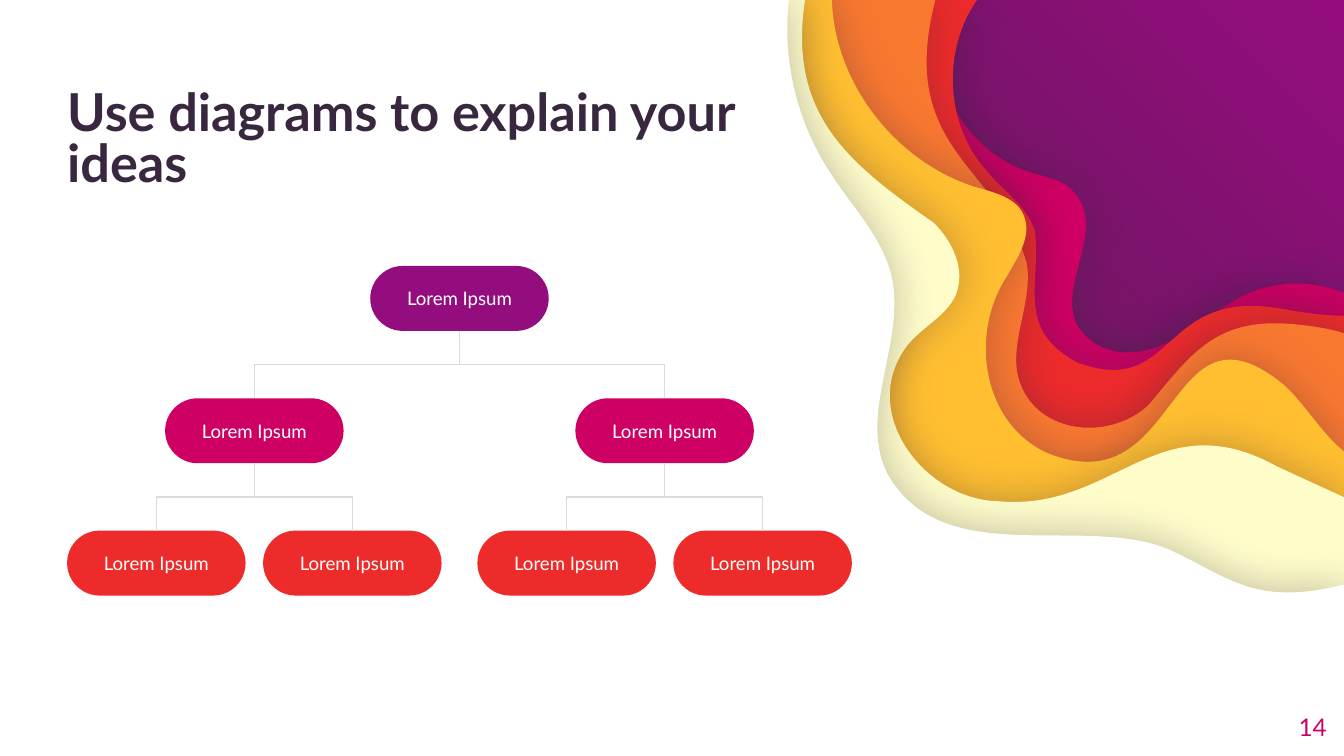
from lxml import etree
from pptx import Presentation
from pptx.dml.color import RGBColor
from pptx.enum.shapes import MSO_CONNECTOR as Connector, MSO_SHAPE as Shape
from pptx.enum.text import MSO_ANCHOR as Anchor, PP_ALIGN as Align
from pptx.oxml import parse_xml
from pptx.oxml.ns import nsdecls, qn
from pptx.util import Pt

FONT = "Lato"
NODE_W, NODE_H = 95.6, 34.8
LEVEL_STEP = 70.9


def color(hex_code):
    return RGBColor.from_string(hex_code)


def style_text(frame, text, size, hex_code, align, anchor, inset=0):
    frame.text = text
    frame.word_wrap = True
    frame.vertical_anchor = anchor
    frame.margin_left = frame.margin_right = Pt(inset)
    frame.margin_top = frame.margin_bottom = Pt(inset)
    paragraph = frame.paragraphs[0]
    paragraph.alignment = align
    paragraph.font.name = FONT
    paragraph.font.size = Pt(size)
    paragraph.font.color.rgb = color(hex_code)
    return paragraph


prs = Presentation()
prs.slide_width, prs.slide_height = Pt(720), Pt(405)
slide = prs.slides.add_slide(prs.slide_layouts[5])
shapes = slide.shapes

# Radial background that glows from the top right corner
slide.element.cSld.insert(0, parse_xml(
    f'<p:bg {nsdecls("p", "a")}><p:bgPr><a:gradFill rotWithShape="1"><a:gsLst>'
    '<a:gs pos="0"><a:srgbClr val="940D7F"/></a:gs>'
    '<a:gs pos="50000"><a:srgbClr val="5E1B53"/></a:gs>'
    '<a:gs pos="100000"><a:srgbClr val="5E1B53"/></a:gs></a:gsLst>'
    '<a:path path="circle"><a:fillToRect l="100000" b="100000"/></a:path>'
    '</a:gradFill><a:effectLst/></p:bgPr></p:bg>'))

# Paper layers: colour, height at the right edge, the start of the wavy edge
# with three points per Bezier curve, and the control points of the curve that
# closes it; all in hundredths of an inch
layers = [
    ("CE0063", 218, [(932, 217), (902, 229), (878, 259), (844, 262),
                     (827, 264), (809, 256), (801, 241),
                     (787, 211), (825, 169), (798, 142),
                     (791, 134), (779, 132), (769, 129),
                     (716, 114), (684, 52), (704, 0)], [(978, 209), (954, 209)]),
    ("ED2B2B", 235, [(960, 231), (861, 210), (878, 297), (802, 270),
                     (755, 245), (775, 212), (770, 172),
                     (764, 153), (746, 142), (734, 127),
                     (703, 93), (701, 37), (727, 0)], [(987, 235), (973, 233)]),
    ("F97830", 248, [(959, 241), (904, 237), (886, 264), (855, 301),
                     (827, 328), (773, 324), (759, 285),
                     (749, 257), (769, 226), (764, 196),
                     (743, 123), (667, 112), (696, 0)], [(987, 244), (973, 242)]),
    ("FFBF31", 336, [(956, 287), (867, 213), (880, 378), (779, 337),
                     (731, 315), (721, 249), (749, 206),
                     (757, 192), (768, 176), (762, 161),
                     (757, 147), (739, 143), (725, 139),
                     (666, 120), (621, 62), (619, 0)], [(983, 322), (972, 302)]),
    ("FEFDCA", 370, [(950, 347), (861, 298), (829, 381), (743, 373),
                     (687, 372), (637, 305), (676, 256),
                     (687, 243), (704, 235), (711, 220),
                     (719, 201), (709, 180), (695, 166),
                     (632, 122), (586, 86), (599, 0)], []),
    ("FFFFFF", 435, [(927, 436), (905, 429), (886, 415), (865, 407),
                     (800, 384), (700, 424), (660, 352),
                     (638, 307), (675, 253), (663, 204),
                     (656, 176), (634, 154), (618, 129),
                     (593, 91), (582, 45), (587, 0)], [(976, 441), (951, 444)]),
]
for fill, right_y, edge, closing in layers:
    outline = edge + [(0, 0), (0, 562.5), (1000, 562.5), (1000, right_y)]
    if closing:
        outline += closing + [edge[0]]
    points = [(Pt(0.72 * x), Pt(0.72 * y)) for x, y in outline]
    builder = shapes.build_freeform(*points[0])
    builder.add_line_segments(points[1:], close=False)
    layer = builder.convert_to_shape()

    # Join each three segments of the wavy edge into one Bezier curve
    segments = list(layer.element.iter(qn("a:lnTo")))
    contour = segments[0].getparent()
    curve_starts = list(range(0, len(edge) - 1, 3))
    if closing:
        curve_starts.append(len(segments) - 3)
    for start in curve_starts:
        curve = etree.Element(qn("a:cubicBezTo"))
        segments[start].addprevious(curve)
        for segment in segments[start:start + 3]:
            curve.append(segment[0])
            contour.remove(segment)
    etree.SubElement(contour, qn("a:close"))

    layer.fill.solid()
    layer.fill.fore_color.rgb = color(fill)
    layer.line.fill.background()
    layer.shadow.inherit = False
    layer.element.spPr.find(qn("a:effectLst")).append(parse_xml(
        f'<a:outerShdw {nsdecls("a")} blurRad="{Pt(22.5)}" dist="{Pt(0.8)}" '
        'dir="0" algn="ctr" rotWithShape="0"><a:srgbClr val="39273F">'
        '<a:alpha val="30000"/></a:srgbClr></a:outerShdw>'))

# Title, brought in front of the layers
title = shapes.title
title.left, title.top, title.width, title.height = Pt(36), Pt(46.8), Pt(410.4), Pt(56.2)
heading = style_text(title.text_frame, "Use diagrams to explain your ideas",
                     28, "39273F", Align.LEFT, Anchor.BOTTOM)
heading.font.bold = True
heading.line_spacing = 0.8
shapes.element.append(title.element)

page_number = shapes.add_textbox(Pt(667.5), Pt(373.7), Pt(43.2), Pt(31))
style_text(page_number.text_frame, "14", 13, "CE0063", Align.RIGHT, Anchor.MIDDLE)

# Organisation tree: each level spreads its nodes evenly around their parent
levels = [("940D7F", [0]), ("CE0063", [-109.9, 109.9]), ("ED2B2B", [-52.5, 52.5])]
parents = [(None, 198.35)]
links = []
for depth, (fill, offsets) in enumerate(levels):
    nodes = []
    for parent, parent_left in parents:
        for offset in offsets:
            left = parent_left + offset
            node = shapes.add_shape(Shape.ROUNDED_RECTANGLE, Pt(left),
                                    Pt(142.5 + depth * LEVEL_STEP), Pt(NODE_W), Pt(NODE_H))
            node.adjustments[0] = 0.5
            node.fill.solid()
            node.fill.fore_color.rgb = color(fill)
            node.line.fill.background()
            node.shadow.inherit = False
            style_text(node.text_frame, "Lorem Ipsum", 10, "FFFFFF",
                       Align.CENTER, Anchor.MIDDLE, 7.2)
            nodes.append((node, left))
            if parent:
                links.append((parent, node))
    parents = nodes

for parent, child in links:
    to_right = child.left > parent.left
    link = shapes.add_connector(Connector.ELBOW, 0, 0, 0, 0)
    if to_right:
        link.begin_connect(parent, 2)
        link.end_connect(child, 0)
    else:
        link.begin_connect(child, 0)
        link.end_connect(parent, 2)
    # A quarter turn makes the elbow leave its nodes vertically
    parent_bottom = parent.top + parent.height
    drop, span = child.top - parent_bottom, abs(child.left - parent.left)
    center_x = (parent.left + child.left + parent.width) // 2
    center_y = (parent_bottom + child.top) // 2
    link.left, link.top = center_x - drop // 2, center_y - span // 2
    link.width, link.height = drop, span
    xfrm = link.element.spPr.xfrm
    xfrm.set("rot", "16200000")
    xfrm.set("flipH", "1" if to_right else "0")
    xfrm.set("flipV", "0")
    link.line.color.rgb = color("E0D8E0")
    link.line.width = Pt(0.75)
    etree.SubElement(link.element.spPr, qn("a:effectLst"))

prs.save("out.pptx")
